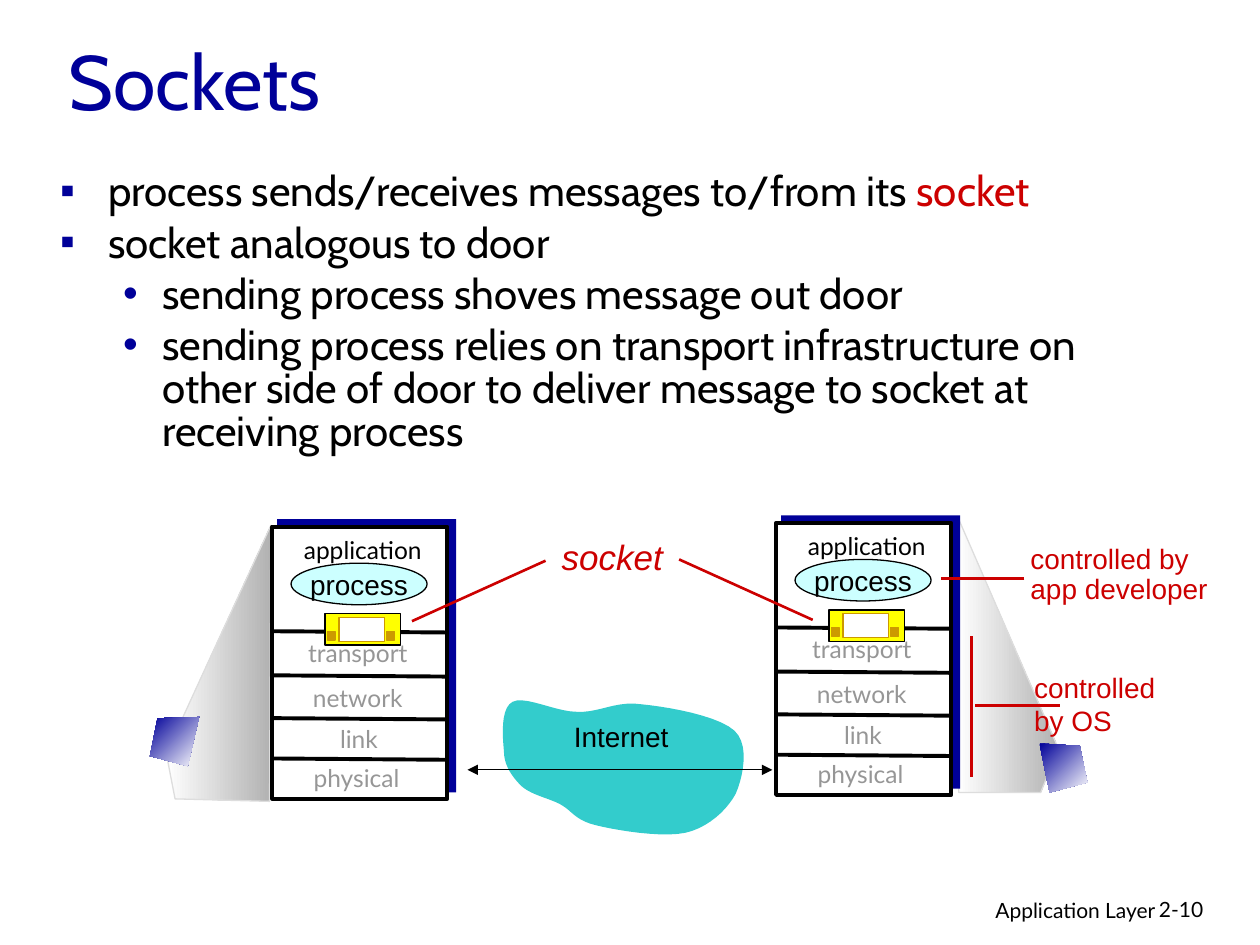
from lxml import etree
from pptx import Presentation
from pptx import util as u
from pptx.dml.color import RGBColor
from pptx.enum import shapes, text
from pptx.oxml import ns

NAVY, RED, GRAY, BLACK, WHITE = "000099", "CC0000", "969696", "000000", "FFFFFF"
GOLD = "CC9900"
RECT, OVAL = shapes.MSO_SHAPE.RECTANGLE, shapes.MSO_SHAPE.OVAL
LEFT, CENTER, RIGHT = text.PP_ALIGN.LEFT, text.PP_ALIGN.CENTER, text.PP_ALIGN.RIGHT

# (level, [(words, colour), ...])
BULLETS = [
    (0, [("process sends/receives messages to/from its ", BLACK), ("socket", RED)]),
    (0, [("socket analogous to door", BLACK)]),
    (1, [("sending process shoves message out door", BLACK)]),
    (1, [("sending process relies on transport infrastructure on other side of door "
          "to deliver message to socket at receiving process", BLACK)]),
]
BULLET_STYLES = [("▪", 0.38, 0.38), ("•", 0.81, 0.31)]  # mark, margin, hanging

# Host parts are measured from the top left corner of the white box
HOSTS = [(2.16, 4.18), (6.16, 4.15)]
LAYERS = [("application", 0, -0.01, BLACK), ("transport", -0.04, 0.81, GRAY),
          ("network", -0.04, 1.17, GRAY), ("link", -0.03, 1.49, GRAY),
          ("physical", -0.05, 1.8, GRAY)]
DIVIDERS = [0.83, 1.18, 1.52, 1.84]
SOCKET_PARTS = [((0.42, 0.69, 0.6, 0.25), "FFFF00", BLACK),
                ((0.53, 0.72, 0.36, 0.19), WHITE, GOLD),
                ((0.91, 0.83, 0.06, 0.07), GOLD, GOLD),
                ((0.44, 0.83, 0.06, 0.07), GOLD, GOLD)]

BEAMS = [[(8.4, 5.94), (7.6, 4.1), (7.61, 6.29), (8.26, 6.29)],
         [(1.32, 5.98), (2.15, 4.17), (2.14, 6.36), (1.39, 6.34)]]
DEVICES = [[(1.58, 5.69), (1.25, 5.7), (1.19, 6), (1.49, 6.08)],
           [(8.25, 5.9), (8.57, 5.92), (8.63, 6.21), (8.33, 6.29)]]
CLOUD_START = (4, 5.96)
CLOUD = [  # control, control, end
    ((3.99, 5.85), (3.97, 5.62), (4.07, 5.57)), ((4.17, 5.52), (4.41, 5.65), (4.58, 5.65)),
    ((4.75, 5.66), (4.89, 5.56), (5.09, 5.59)), ((5.3, 5.61), (5.7, 5.68), (5.83, 5.8)),
    ((5.95, 5.91), (5.9, 6.16), (5.84, 6.3)), ((5.77, 6.43), (5.62, 6.57), (5.44, 6.61)),
    ((5.25, 6.65), (4.89, 6.59), (4.73, 6.55)), ((4.56, 6.51), (4.54, 6.43), (4.44, 6.38)),
    ((4.34, 6.33), (4.22, 6.31), (4.14, 6.24)), ((4.07, 6.17), (4, 6.08), (4, 5.96)),
]

# box, lines, size, italic, line spacing
CALLOUTS = [((8.11, 5.27, 1.16, 0.9), ["controlled", "by OS"], 16, False, 1),
            ((8.08, 4.28, 1.61, 0.58), ["controlled by", "app developer"], 16, False, 0.9),
            ((4.36, 4.24, 1.06, 0.4), ["socket"], 20, True, 0.9)]
POINTERS = [((8.13, 4.59), (7.47, 4.59)), ((7.71, 5.05), (7.71, 6.17)),
            ((8.41, 5.6), (7.74, 5.6)), ((3.27, 4.93), (4.33, 4.45)),
            ((6.45, 4.92), (5.39, 4.44))]


def rgb(color):
    return RGBColor.from_string(color)


def emu(values):
    return [u.Inches(v) for v in values]


def add_run(p, words, font, size, color, italic=False):
    r = p.add_run()
    r.text = words
    style = {"name": font, "size": u.Pt(size), "italic": italic}
    for key, value in style.items():
        setattr(r.font, key, value)
    r.font.color.rgb = rgb(color)


def add_text(s, box, lines, font, size, color, align=LEFT, spacing=1, wrap=True, italic=False):
    tf = s.shapes.add_textbox(*emu(box)).text_frame
    tf.word_wrap = wrap
    tf.auto_size = text.MSO_AUTO_SIZE.SHAPE_TO_FIT_TEXT
    for i, words in enumerate(lines):
        p = tf.add_paragraph() if i else tf.paragraphs[0]
        p.alignment, p.line_spacing = align, spacing
        add_run(p, words, font, size, color, italic)


def paint(sp, fill, line=None, width=0.75, angle=0):
    """Fill with one colour, or with a gradient when fill is a pair."""
    sp.shadow.inherit = False
    if isinstance(fill, tuple):
        sp.fill.gradient()
        sp.fill.gradient_angle = angle
        for stop, color in zip(sp.fill.gradient_stops, fill):
            stop.color.rgb = rgb(color)
    else:
        sp.fill.solid()
        sp.fill.fore_color.rgb = rgb(fill)
    if line:
        sp.line.color.rgb = rgb(line)
        sp.line.width = u.Pt(width)
    else:
        sp.line.fill.background()


def add_shape(parent, kind, box, fill, line=None, width=0.75):
    sp = parent.shapes.add_shape(kind, *emu(box))
    paint(sp, fill, line, width)
    return sp


def add_outline(s, points, fill, line=None, angle=0):
    builder = s.shapes.build_freeform(*emu(points[0]))
    builder.add_line_segments([emu(pt) for pt in points[1:]], close=True)
    paint(builder.convert_to_shape(), fill, line, angle=angle)


def add_line(s, start, end, color, width, arrows=False):
    c = s.shapes.add_connector(shapes.MSO_CONNECTOR.STRAIGHT, *emu(start + end))
    c.line.color.rgb = rgb(color)
    c.line.width = u.Pt(width)
    if arrows:
        for tag in ("a:headEnd", "a:tailEnd"):
            etree.SubElement(c.line._get_or_add_ln(), ns.qn(tag), type="triangle")
    etree.SubElement(c._element.spPr, ns.qn("a:effectLst"))


def curve_points(start, curves, steps=10):
    """Points along a chain of cubic Bezier curves."""
    points = [start]
    for a, b, end in curves:
        first = points[-1]
        for t in (i / steps for i in range(1, steps + 1)):
            weights = ((1 - t) ** 3, 3 * t * (1 - t) ** 2, 3 * t * t * (1 - t), t ** 3)
            points.append(tuple(sum(w * pt[axis] for w, pt in zip(weights, (first, a, b, end)))
                                for axis in (0, 1)))
    return points


def add_bullets(s):
    tf = s.shapes.add_textbox(*emu((0.38, 1.32, 9, 2.55))).text_frame
    tf.word_wrap = True
    for i, (level, runs) in enumerate(BULLETS):
        p = tf.add_paragraph() if i else tf.paragraphs[0]
        mark, margin, hanging = BULLET_STYLES[level]
        p.level, p.line_spacing = level, 0.85
        if i:
            p.space_before = u.Pt(4.8)
        pPr = p._p.get_or_add_pPr()
        pPr.set("marL", str(u.Inches(margin)))
        pPr.set("indent", str(-u.Inches(hanging)))
        color = etree.SubElement(pPr, ns.qn("a:buClr"))
        etree.SubElement(color, ns.qn("a:srgbClr"), val=NAVY)
        etree.SubElement(pPr, ns.qn("a:buFont"), typeface="Arial")
        etree.SubElement(pPr, ns.qn("a:buChar"), char=mark)
        for words, run_color in runs:
            add_run(p, words, "Cabin", 24, run_color)


def add_host(s, x, y):
    add_shape(s, RECT, (x + 0.04, y - 0.06, 1.42, 2.17), NAVY)
    add_shape(s, RECT, (x, y, 1.39, 2.16), WHITE, BLACK, 2.25)
    for dy in DIVIDERS:
        add_line(s, (x + 0.01, y + dy), (x + 1.39, y + dy + 0.01), BLACK, 2.25)
    for name, dx, dy, color in LAYERS:
        add_text(s, (x + dx, y + dy, 1.44, 0.36), [name], "Lato", 14, color, CENTER, 1.1)
    process = add_shape(s, OVAL, (x + 0.15, y + 0.29, 1.08, 0.33), "CCFFFF", BLACK)
    tf = process.text_frame
    tf.word_wrap = False
    tf.vertical_anchor = text.MSO_ANCHOR.MIDDLE
    tf.paragraphs[0].alignment = CENTER
    add_run(tf.paragraphs[0], "process", "Arial", 16, BLACK)
    socket = s.shapes.add_group_shape()
    for (dx, dy, w, h), fill, line in SOCKET_PARTS:
        add_shape(socket, RECT, (x + dx, y + dy, w, h), fill, line)


def main():
    prs = Presentation()
    prs.slide_width, prs.slide_height = emu((10, 7.5))
    s = prs.slides.add_slide(prs.slide_layouts[5])

    title = s.shapes.title
    title.left, title.top, title.width, title.height = emu((0.44, 0.14, 8.83, 0.98))
    tf = title.text_frame
    tf.auto_size = text.MSO_AUTO_SIZE.NONE
    tf.vertical_anchor = text.MSO_ANCHOR.MIDDLE
    tf.paragraphs[0].alignment = LEFT
    add_run(tf.paragraphs[0], "Sockets", "Cabin", 44, NAVY)

    add_text(s, (6.1, 7.07, 3.17, 0.31), ["Application Layer"], "Lato", 12, BLACK, RIGHT)
    add_text(s, (9.1, 7.07, 0.74, 0.3), ["2-10"], "Lato", 12, BLACK)
    add_bullets(s)

    for points in BEAMS:
        add_outline(s, points, (WHITE, "B2B2B2"), "DDDDDD")
    add_outline(s, curve_points(CLOUD_START, CLOUD), "33CCCC")
    add_text(s, (4.45, 5.66, 0.96, 0.37), ["Internet"], "Arial", 16, BLACK, CENTER, wrap=False)
    add_line(s, (3.71, 6.11), (6.13, 6.11), BLACK, 0.75, arrows=True)
    for x, y in HOSTS:
        add_host(s, x, y)
    for box, lines, size, italic, spacing in CALLOUTS:
        add_text(s, box, lines, "Arial", size, RED, LEFT, spacing, False, italic)
    for start, end in POINTERS:
        add_line(s, start, end, RED, 1.5)
    for points in DEVICES:
        add_outline(s, points, (NAVY, WHITE), angle=315)
    prs.save("out.pptx")


if __name__ == "__main__":
    main()
